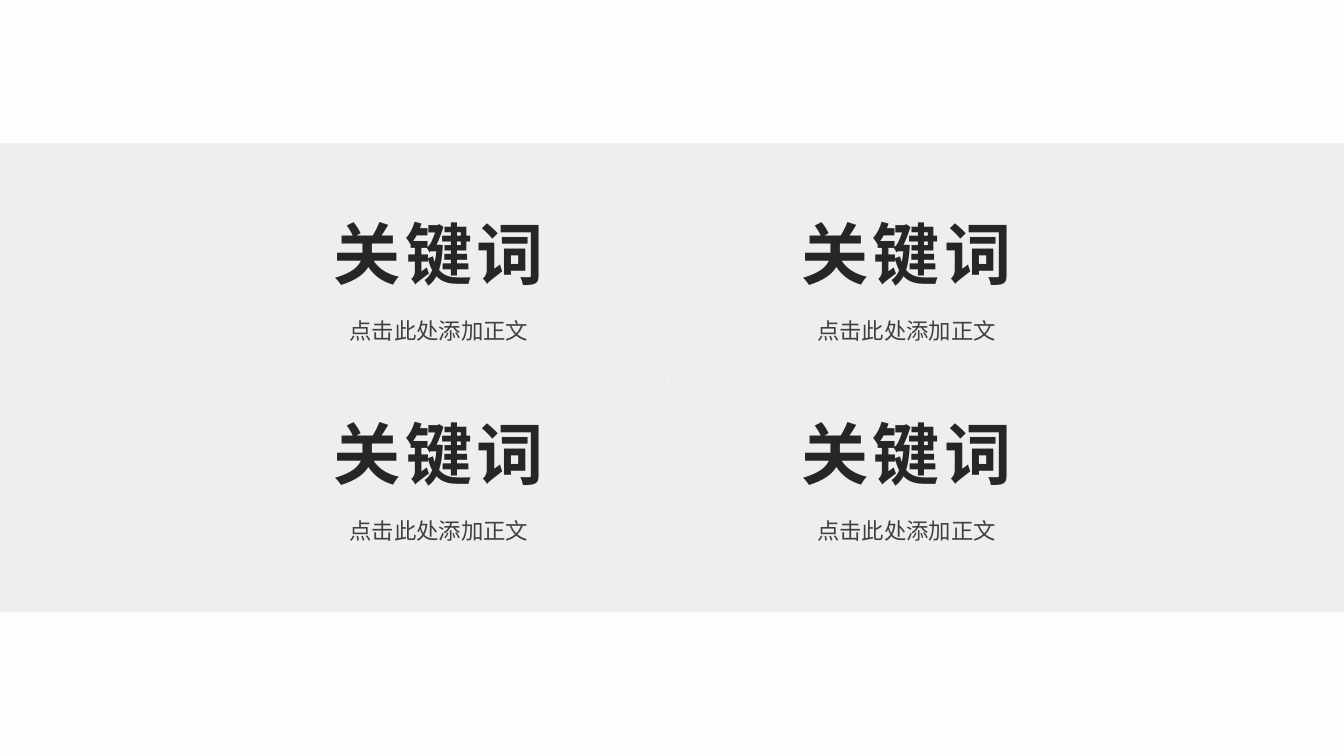
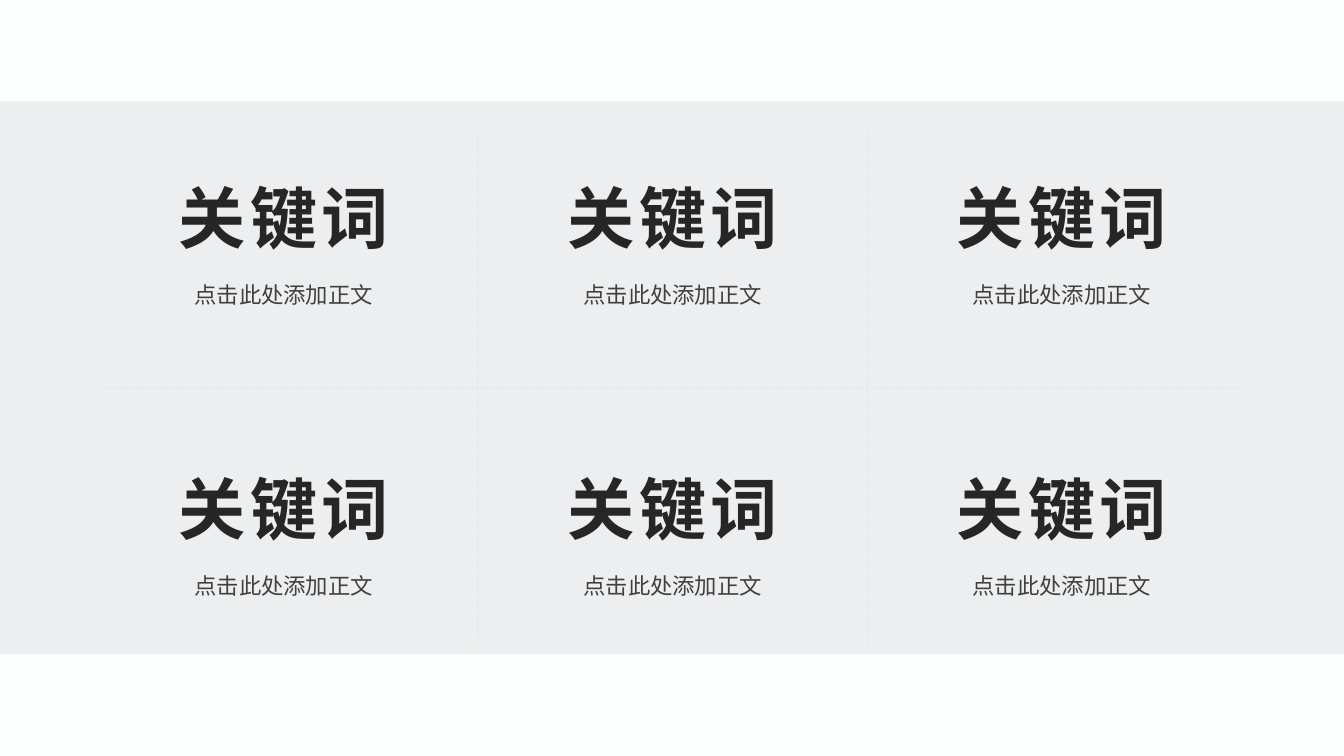
from lxml.etree import SubElement
from pptx import Presentation
from pptx.dml.color import RGBColor
from pptx.enum.dml import MSO_LINE
from pptx.enum.shapes import MSO_CONNECTOR, MSO_SHAPE
from pptx.enum.text import MSO_ANCHOR, PP_ALIGN
from pptx.oxml.ns import qn
from pptx.util import Pt

BACKGROUND = RGBColor(0xFC, 0xFD, 0xFD)
BAND = RGBColor(0xEC, 0xEE, 0xEF)
RULE = RGBColor(0xD9, 0xD9, 0xD9)
KEYWORD = RGBColor(0x26, 0x26, 0x26)
BODY = RGBColor(0x40, 0x40, 0x40)
FONT = "Arial"
WIDTH, HEIGHT = 960, 540
CARD_WIDTH, KEYWORD_HEIGHT, BODY_HEIGHT = 257, 65.7, 36


def add_slide(prs, band_top, band_height):
    s = prs.slides.add_slide(prs.slide_layouts[6])
    s.background.fill.solid()
    s.background.fill.fore_color.rgb = BACKGROUND
    sp = s.shapes.add_shape(MSO_SHAPE.RECTANGLE, 0, Pt(band_top),
                            Pt(WIDTH), Pt(band_height))
    sp.shadow.inherit = False
    sp.fill.solid()
    sp.fill.fore_color.rgb = BAND
    sp.line.fill.background()
    return s


def add_text(shapes, text, x, y, w, h, *, size, color, bold=False,
             tracking=0, line_spacing=None, space_after=0):
    tf = shapes.add_textbox(Pt(x), Pt(y), Pt(w), Pt(h)).text_frame
    tf.word_wrap = True
    tf.vertical_anchor = MSO_ANCHOR.MIDDLE
    p = tf.paragraphs[0]
    p.alignment = PP_ALIGN.CENTER
    p.line_spacing = line_spacing
    p.space_after = Pt(space_after)
    r = p.add_run()
    r.text = text
    r.font.name = FONT
    r.font.size = Pt(size)
    r.font.bold = bold
    r.font.color.rgb = color
    rpr = r.font._element
    rpr.set("lang", "zh-CN")
    if tracking:
        rpr.set("spc", str(tracking * 100))


def add_rule(s, x1, y1, x2, y2):
    line = s.shapes.add_connector(MSO_CONNECTOR.STRAIGHT,
                                  Pt(x1), Pt(y1), Pt(x2), Pt(y2))
    line.line.color.rgb = RULE
    line.line.width = Pt(0.5)
    line.line.dash_style = MSO_LINE.DASH
    sp_pr = line._element.spPr
    color = sp_pr.find(".//" + qn("a:srgbClr"))
    SubElement(color, qn("a:alpha"), val="50000")
    SubElement(sp_pr, qn("a:effectLst"))


def add_card(s, x, y):
    shapes = s.shapes.add_group_shape().shapes
    add_text(shapes, "关键词", x, y, CARD_WIDTH, KEYWORD_HEIGHT,
             size=48, color=KEYWORD, bold=True, tracking=3)
    add_text(shapes, "点击此处添加正文", x, y + KEYWORD_HEIGHT, CARD_WIDTH,
             BODY_HEIGHT, size=16, color=BODY, line_spacing=1.5,
             space_after=10)


def add_cards(s, columns, left, top, step_x, step_y, rows=2):
    for row in range(rows):
        for column in range(columns):
            add_card(s, left + column * step_x, top + row * step_y)


def four_keywords(prs):
    s = add_slide(prs, 102.4, 334.8)
    add_rule(s, 480, 158, 480, 390)
    add_rule(s, 124, 270, 837, 270)
    add_cards(s, 2, 185, 147.6, 334.2, 143.2)


def six_keywords(prs):
    s = add_slide(prs, 72.4, 395)
    add_cards(s, 3, 74.2, 122.2, 277.9, 207.4)
    add_rule(s, 75.6, 277, 885.6, 277)
    for x in (341.3, 619.6):
        add_rule(s, x, 93, x, 461)


def main():
    prs = Presentation()
    prs.slide_width, prs.slide_height = Pt(WIDTH), Pt(HEIGHT)
    four_keywords(prs)
    six_keywords(prs)
    prs.save("out.pptx")


if __name__ == "__main__":
    main()
